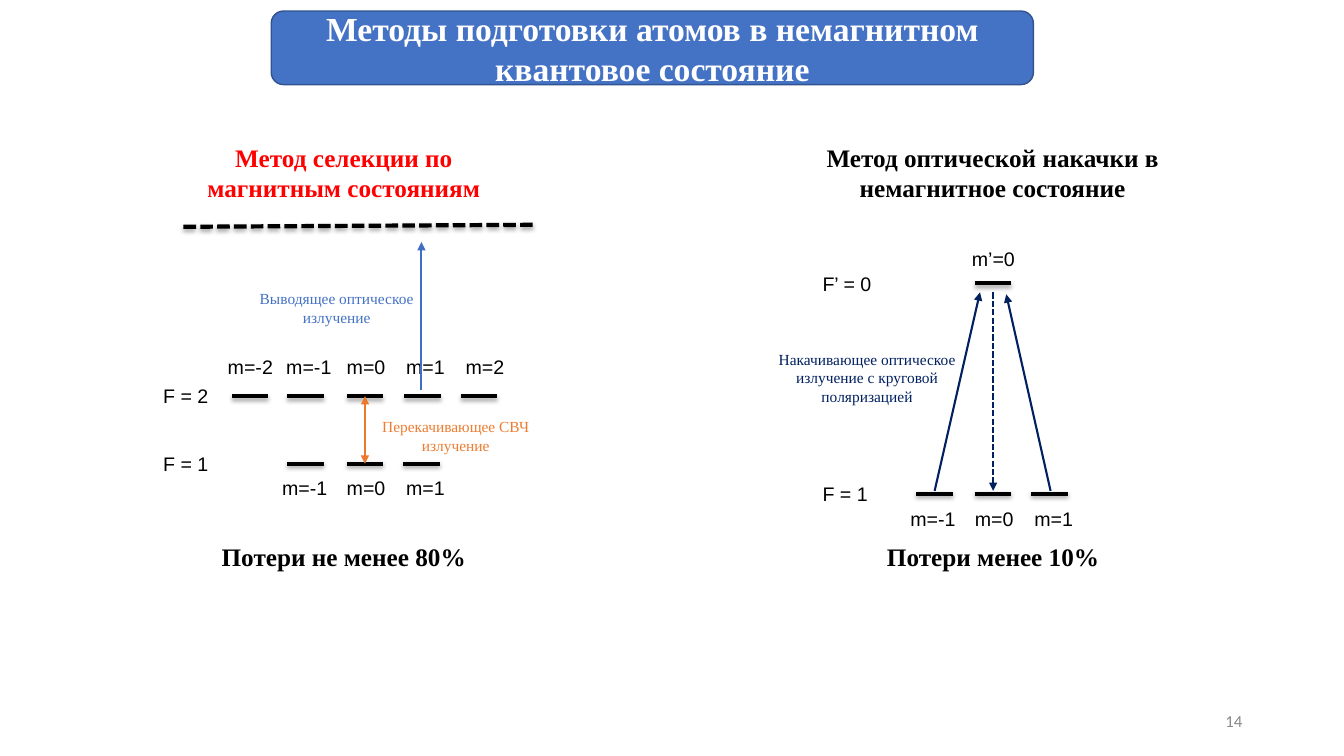
from pptx import Presentation
from pptx.util import Inches, Pt
from pptx.dml.color import RGBColor
from pptx.enum.dml import MSO_LINE
from pptx.enum.shapes import MSO_CONNECTOR, MSO_SHAPE
from pptx.enum.text import MSO_ANCHOR, MSO_AUTO_SIZE, PP_ALIGN
from lxml.etree import SubElement
from pptx.oxml.ns import qn


class Theme:
    black, white, gray = "000000", "FFFFFF", "888888"
    red, blue, edge = "FF0000", "4472C4", "31538F"
    beam, wave, glow, navy = "3F6FC3", "EC792B", "ED7D31", "002060"
    serif, sans, plain = "Times New Roman", "Arial", "Calibri"
    title, head, label, page, note = 24, 18, 14, 12, 11
    thick, thin = 3, 1.5


deck = Presentation()
deck.slide_width, deck.slide_height = Inches(13.33), Inches(7.5)
slide = deck.slides.add_slide(deck.slide_layouts[6])


def write(words, x, y, w, h, size=Theme.label, face=Theme.sans,
          color=Theme.black, bold=False, align=PP_ALIGN.LEFT, shape=None):
    box = shape or slide.shapes.add_textbox(Inches(x), Inches(y), Inches(w), Inches(h))
    frame = box.text_frame
    frame.word_wrap = True
    if not shape:
        frame.auto_size = MSO_AUTO_SIZE.SHAPE_TO_FIT_TEXT
    frame.text = words
    para = frame.paragraphs[0]
    para.alignment = align
    font = para.runs[0].font
    font.size, font.name, font.bold = Pt(size), face, bold
    font.color.rgb = RGBColor.from_string(color)
    return frame


def draw(x1, y1, x2, y2, color=Theme.black, width=Theme.thick,
         dash=False, ends=(), shade=False):
    line = slide.shapes.add_connector(
        MSO_CONNECTOR.STRAIGHT, Inches(x1), Inches(y1), Inches(x2), Inches(y2))
    line.line.color.rgb = RGBColor.from_string(color)
    line.line.width = Pt(width)
    if dash:
        line.line.dash_style = MSO_LINE.SQUARE_DOT
    props = line._element.spPr
    for end in ends:
        SubElement(props.find(qn("a:ln")), qn(f"a:{end}"), type="triangle")
    effect = SubElement(props, qn("a:effectLst"))
    if shade:
        shadow = SubElement(effect, qn("a:outerShdw"), blurRad="40000",
                            dist="23000", dir="5400000", rotWithShape="0")
        tint = SubElement(shadow, qn("a:srgbClr"), val=Theme.black)
        SubElement(tint, qn("a:alpha"), val="35000")


# Page number
page = write("14", 9.42, 6.95, 3, 0.4, Theme.page, Theme.plain, Theme.gray,
             align=PP_ALIGN.RIGHT)
page.auto_size = MSO_AUTO_SIZE.NONE
page.vertical_anchor = MSO_ANCHOR.MIDDLE

# Title banner
place = (2.69, 0.11, 7.56, 0.73)
banner = slide.shapes.add_shape(MSO_SHAPE.ROUNDED_RECTANGLE, *map(Inches, place))
banner.shadow.inherit = False
banner.fill.solid()
banner.fill.fore_color.rgb = RGBColor.from_string(Theme.blue)
banner.line.color.rgb = RGBColor.from_string(Theme.edge)
banner.line.width = Pt(1)
title = write("Методы подготовки атомов в немагнитном квантовое состояние", *place,
              Theme.title, Theme.serif, Theme.white, True, PP_ALIGN.CENTER, banner)
title.vertical_anchor = MSO_ANCHOR.MIDDLE

# Headings and losses
for words, x, y, w, h, color in (
        ("Метод селекции по магнитным состояниям", 1.74, 1.36, 3.34, 0.71, Theme.red),
        ("Метод оптической накачки в немагнитное состояние",
         7.87, 1.36, 3.95, 0.71, Theme.black),
        ("Потери не менее 80%", 1.74, 5.32, 3.34, 0.4, Theme.black),
        ("Потери менее 10%", 8.18, 5.32, 3.34, 0.4, Theme.black)):
    write(words, x, y, w, h, Theme.head, Theme.serif, color, True, PP_ALIGN.CENTER)

# Energy levels: name, its place, bar height, bar starts, label height, labels
for name, left, top, level, bars, row, marks in (
        ("F = 2", 1.52, 3.76, 3.93, (2.3, 2.85, 3.44, 4.01, 4.57), 3.47,
         (("m=-2", 2.16), ("m=-1", 2.74), ("m=0", 3.34), ("m=1", 3.93), ("m=2", 4.52))),
        ("F = 1", 1.52, 4.43, 4.6, (2.85, 3.44, 4), 4.67,
         (("m=-1", 2.7), ("m=0", 3.34), ("m=1", 3.93))),
        ("F’ = 0", 8.06, 2.65, 2.81, (9.67,), 2.4, (("m’=0", 9.54),)),
        ("F = 1", 8.06, 4.73, 4.9, (9.09, 9.67, 10.23), 4.98,
         (("m=-1", 8.93), ("m=0", 9.57), ("m=1", 10.16)))):
    write(name, left, top, 0.74, 0.34)
    for x in bars:
        draw(x, level, x + 0.36, level, shade=True)
    for mark, x in marks:
        write(mark, x, row, 0.98, 0.34)

# Upper dashed level
draw(1.82, 2.25, 5.32, 2.23, dash=True, shade=True)

# Transitions
for x1, y1, x2, y2, color, dash, ends in (
        (3.62, 3.93, 3.62, 4.6, Theme.wave, False, ("headEnd", "tailEnd")),
        (4.18, 3.87, 4.18, 2.4, Theme.beam, False, ("tailEnd",)),
        (9.27, 4.87, 9.72, 2.9, Theme.navy, False, ("tailEnd",)),
        (10.42, 4.87, 9.98, 2.92, Theme.navy, False, ("tailEnd",)),
        (9.85, 2.9, 9.85, 4.87, Theme.navy, True, ("tailEnd",))):
    draw(x1, y1, x2, y2, color, Theme.thin, dash, ends)

# Radiation notes
for words, x, y, h, color in (
        ("Перекачивающее СВЧ излучение", 3.41, 4.09, 0.47, Theme.glow),
        ("Выводящее оптическое излучение", 2.23, 2.82, 0.47, Theme.blue),
        ("Накачивающее оптическое излучение с круговой поляризацией",
         7.49, 3.42, 0.66, Theme.navy)):
    write(words, x, y, 2.22, h, Theme.note, Theme.serif, color, align=PP_ALIGN.CENTER)

deck.save("out.pptx")
